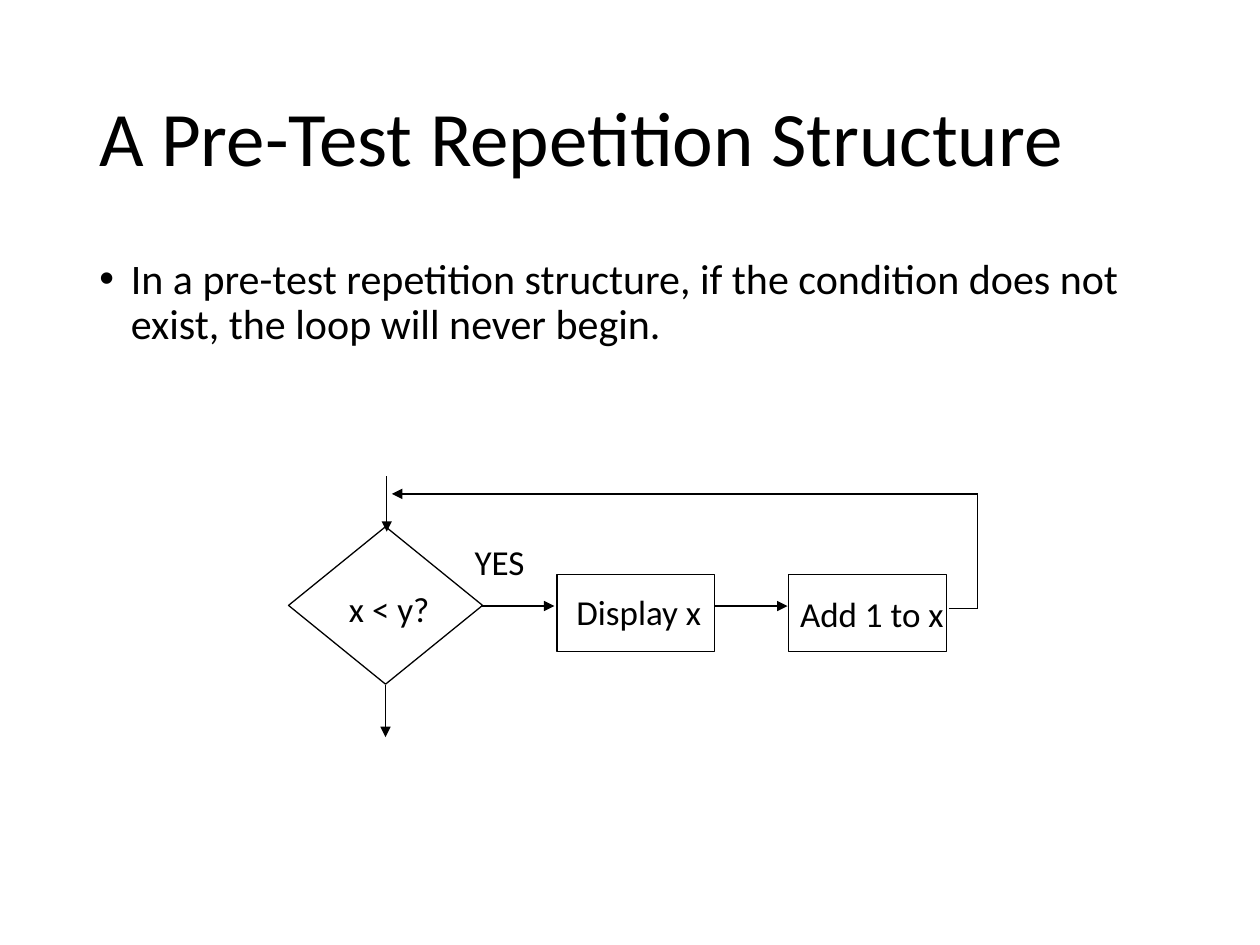
from lxml import etree
from pptx import Presentation
from pptx.dml.color import RGBColor
from pptx.enum.shapes import MSO_CONNECTOR, MSO_SHAPE
from pptx.enum.text import MSO_ANCHOR, PP_ALIGN
from pptx.oxml.ns import qn
from pptx.util import Inches, Pt

BLACK = RGBColor(0, 0, 0)
FONT = "Calibri"
LEFT, CENTER = PP_ALIGN.LEFT, PP_ALIGN.CENTER
TOP, MIDDLE = MSO_ANCHOR.TOP, MSO_ANCHOR.MIDDLE
STRAIGHT = MSO_CONNECTOR.STRAIGHT
CHOICE, RECT = MSO_SHAPE.FLOWCHART_DECISION, MSO_SHAPE.RECTANGLE


class Chart:
    """Holds the style and the current slide."""

    def __init__(self, slide):
        """Keep the slide to draw on."""
        self.shapes = slide.shapes

    def text(self, words, box, size=20, align=CENTER, anchor=TOP):
        """Add a text box and return its paragraph."""
        frame = self.shapes.add_textbox(*map(Inches, box)).text_frame
        frame.word_wrap = True
        frame.vertical_anchor = anchor
        para = frame.paragraphs[0]
        para.alignment = align
        run = para.add_run()
        run.text = words
        run.font.name = FONT
        run.font.size = Pt(size)
        run.font.color.rgb = BLACK
        return para

    def bullet(self, para, indent=0.25):
        """Give a paragraph a hanging bullet."""
        props = para._p.get_or_add_pPr()
        props.set("marL", str(Inches(indent)))
        props.set("indent", str(-Inches(indent)))
        etree.SubElement(props, qn("a:buFont"), typeface="Arial")
        etree.SubElement(props, qn("a:buChar"), char="•")

    def pen(self, line):
        """Set the outline style."""
        line.color.rgb = BLACK
        line.width = Pt(0.75)

    def node(self, kind, box):
        """Add an unfilled flowchart shape."""
        shape = self.shapes.add_shape(kind, *map(Inches, box))
        shape.shadow.inherit = False
        shape.fill.background()
        self.pen(shape.line)

    def link(self, start, end, arrow=False):
        """Add a line, with an arrowhead at its end if asked."""
        line = self.shapes.add_connector(STRAIGHT, *map(Inches, start + end))
        self.pen(line.line)
        props = line._element.spPr
        if arrow:
            etree.SubElement(props.find(qn("a:ln")), qn("a:tailEnd"),
                             type="triangle")
        etree.SubElement(props, qn("a:effectLst"))


deck = Presentation()
deck.slide_width, deck.slide_height = Inches(10), Inches(7.5)
chart = Chart(deck.slides.add_slide(deck.slide_layouts[6]))

title = chart.text("A Pre-Test Repetition Structure", (0.69, 0.4, 8.62, 1.45),
                   44, LEFT, MIDDLE)
title.line_spacing = 0.9
body = chart.text("In a pre-test repetition structure, if the condition does "
                  "not exist, the loop will never begin.",
                  (0.69, 2, 8.62, 4.76), 24, LEFT)
body.line_spacing = 0.9
body.space_before = Pt(10)
chart.bullet(body)

# Flowchart steps
chart.node(CHOICE, (2.29, 4.18, 1.54, 1.25))
for left in (4.42, 6.26):
    chart.node(RECT, (left, 4.56, 1.25, 0.61))

# Flow through the steps
for start, end in (((3.07, 3.78), (3.07, 4.22)),
                   ((3.06, 5.44), (3.06, 5.85)),
                   ((3.82, 4.81), (4.4, 4.81)),
                   ((5.67, 4.81), (6.25, 4.81))):
    chart.link(start, end, arrow=True)

# Way back to the test
chart.link((7.53, 4.83), (7.75, 4.83))
chart.link((7.76, 4.83), (7.76, 3.92))
chart.link((7.76, 3.92), (3.11, 3.92), arrow=True)

for words, left, top, width in (("x < y?", 2.57, 4.61, 1.04),
                                ("Display x", 4.36, 4.64, 1.42),
                                ("Add 1 to x", 6.21, 4.65, 1.42),
                                ("YES", 3.54, 4.24, 0.85)):
    chart.text(words, (left, top, width, 0.43))

deck.save("out.pptx")
